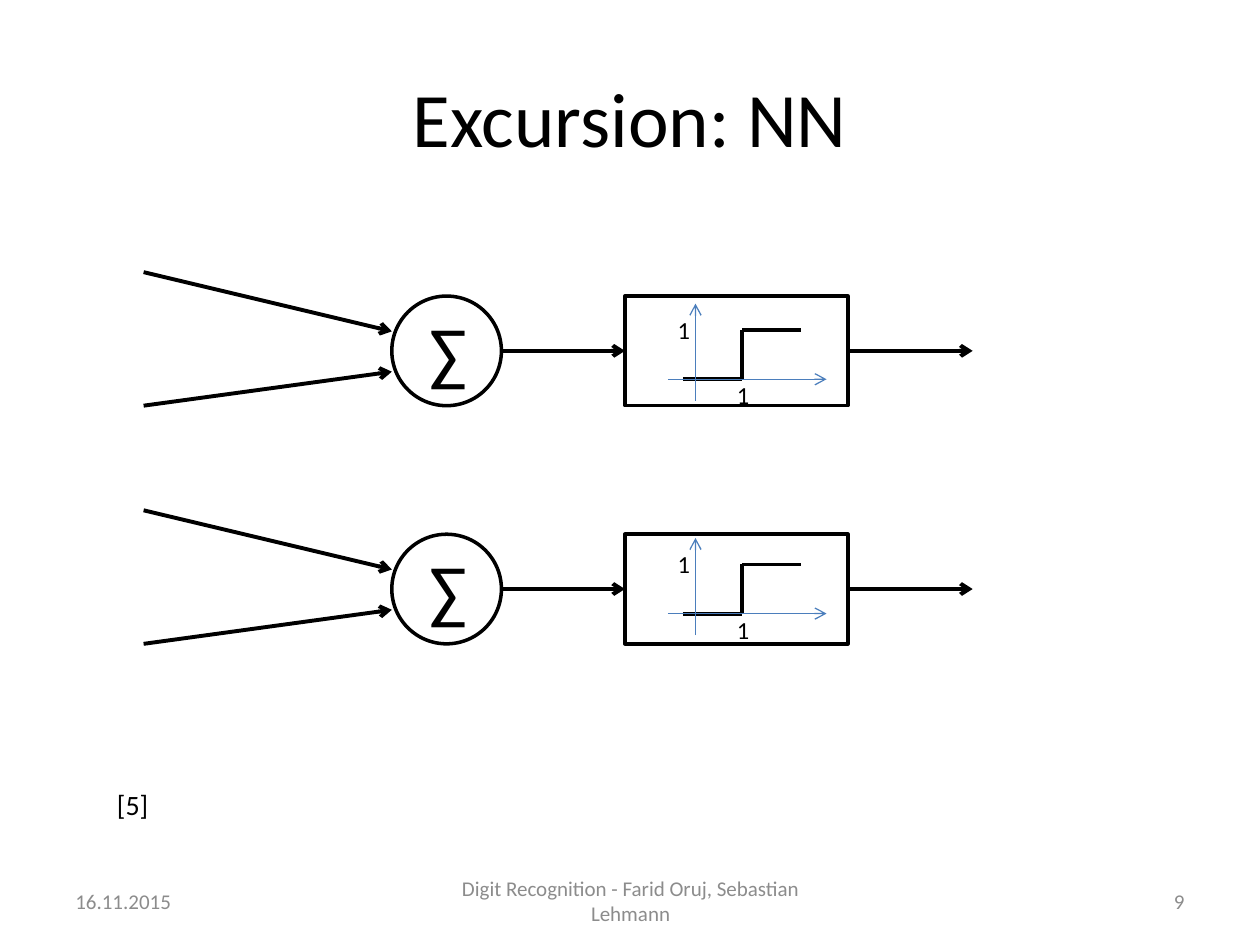
"""Builds a slide with two neurons, each a sum followed by a step activation."""
from dataclasses import dataclass

from lxml.etree import SubElement
from pptx import Presentation
from pptx.dml.color import RGBColor
from pptx.enum.shapes import MSO_CONNECTOR as CONN, MSO_SHAPE as SHAPE
from pptx.enum.text import MSO_ANCHOR as ANCHOR, PP_ALIGN as ALIGN
from pptx.oxml.ns import qn
from pptx.util import Inches, Pt

BLACK = RGBColor(0x00, 0x00, 0x00)
GRAY = RGBColor(0x8C, 0x8C, 0x8C)
BLUE = RGBColor(0x4B, 0x7E, 0xBC)
FONT = "Calibri"


@dataclass
class Neuron:
    top: float
    axis_y: float


@dataclass
class Footer:
    text: str
    left: float
    width: float
    align: ALIGN


NEURONS = [Neuron(2.35, 3.01), Neuron(4.24, 4.87)]
FOOTERS = [
    Footer("16.11.2015", 0.5, 2.33, ALIGN.LEFT),
    Footer("Digit Recognition - Farid Oruj, Sebastian Lehmann", 3.42, 3.17, ALIGN.CENTER),
    Footer("9", 7.17, 2.33, ALIGN.RIGHT),
]


def write(tf, text, *, size, color=BLACK, align=ALIGN.LEFT, anchor=ANCHOR.TOP):
    tf.word_wrap = True
    tf.vertical_anchor = anchor
    p = tf.paragraphs[0]
    p.alignment = align
    r = p.add_run()
    r.text = text
    r.font.name = FONT
    r.font.size = Pt(size)
    r.font.color.rgb = color


def add_text(s, text: str, left: float, top: float, width: float, height: float, **fmt):
    box = s.shapes.add_textbox(Inches(left), Inches(top), Inches(width), Inches(height))
    write(box.text_frame, text, **fmt)


def add_outline(s, kind: SHAPE, left: float, top: float, width: float, height: float):
    sp = s.shapes.add_shape(kind, Inches(left), Inches(top), Inches(width), Inches(height))
    sp.shadow.inherit = False
    sp.fill.background()
    sp.line.color.rgb = BLACK
    sp.line.width = Pt(2)
    return sp


def add_line(s, x1: float, y1: float, x2: float, y2: float, *,
             color=BLACK, width=2.25, arrow=False):
    line = s.shapes.add_connector(CONN.STRAIGHT, Inches(x1), Inches(y1), Inches(x2), Inches(y2))
    line.line.color.rgb = color
    line.line.width = Pt(width)
    if arrow:
        SubElement(line.line._get_or_add_ln(), qn("a:tailEnd"), type="arrow")
    SubElement(line._element.spPr, qn("a:effectLst"))
    return line


def draw_neuron(s, top: float):
    size = 0.87
    mid = top + size / 2
    add_outline(s, SHAPE.OVAL, 3.11, top, size, size)
    add_text(s, "∑", 3.31, top + 0.05, 0.47, 0.77, size=40)
    add_line(s, 1.14, top - 0.19, 3.11, top + 0.28, arrow=True)
    add_line(s, 1.14, top + size, 3.11, top + 0.6, arrow=True)
    box = add_outline(s, SHAPE.RECTANGLE, 4.96, top, 1.77, size)
    add_line(s, 3.98, mid, 4.96, mid, arrow=True).end_connect(box, 1)
    add_line(s, 6.73, mid, 7.72, mid, arrow=True).begin_connect(box, 3)


def draw_step(s, axis_y: float):
    high = axis_y - 0.39
    add_line(s, 5.42, axis_y, 5.89, axis_y)
    add_line(s, 5.89, high, 6.36, high)
    add_line(s, 5.89, axis_y, 5.89, high)
    add_line(s, 5.52, axis_y + 0.17, 5.52, axis_y - 0.6, color=BLUE, width=0.75, arrow=True)
    add_line(s, 5.3, axis_y, 6.56, axis_y, color=BLUE, width=0.75, arrow=True)
    add_text(s, "1", 5.28, axis_y - 0.56, 0.22, 0.34, size=14)
    add_text(s, "1", 5.75, axis_y - 0.04, 0.22, 0.34, size=14)


def main():
    prs = Presentation()
    prs.slide_width, prs.slide_height = Inches(10), Inches(7.5)
    s = prs.slides.add_slide(prs.slide_layouts[5])
    title = s.shapes.title
    title.left, title.top = Inches(0.5), Inches(0.3)
    title.width, title.height = Inches(9), Inches(1.25)
    write(title.text_frame, "Excursion: NN", size=44, align=ALIGN.CENTER, anchor=ANCHOR.MIDDLE)
    for f in FOOTERS:
        add_text(s, f.text, f.left, 6.95, f.width, 0.4, size=12, color=GRAY,
                 align=f.align, anchor=ANCHOR.MIDDLE)
    for n in NEURONS:
        draw_neuron(s, n.top)
        draw_step(s, n.axis_y)
    add_text(s, "[5]", 0.83, 6.2, 8.35, 0.37, size=16)
    prs.save("out.pptx")


if __name__ == "__main__":
    main()
